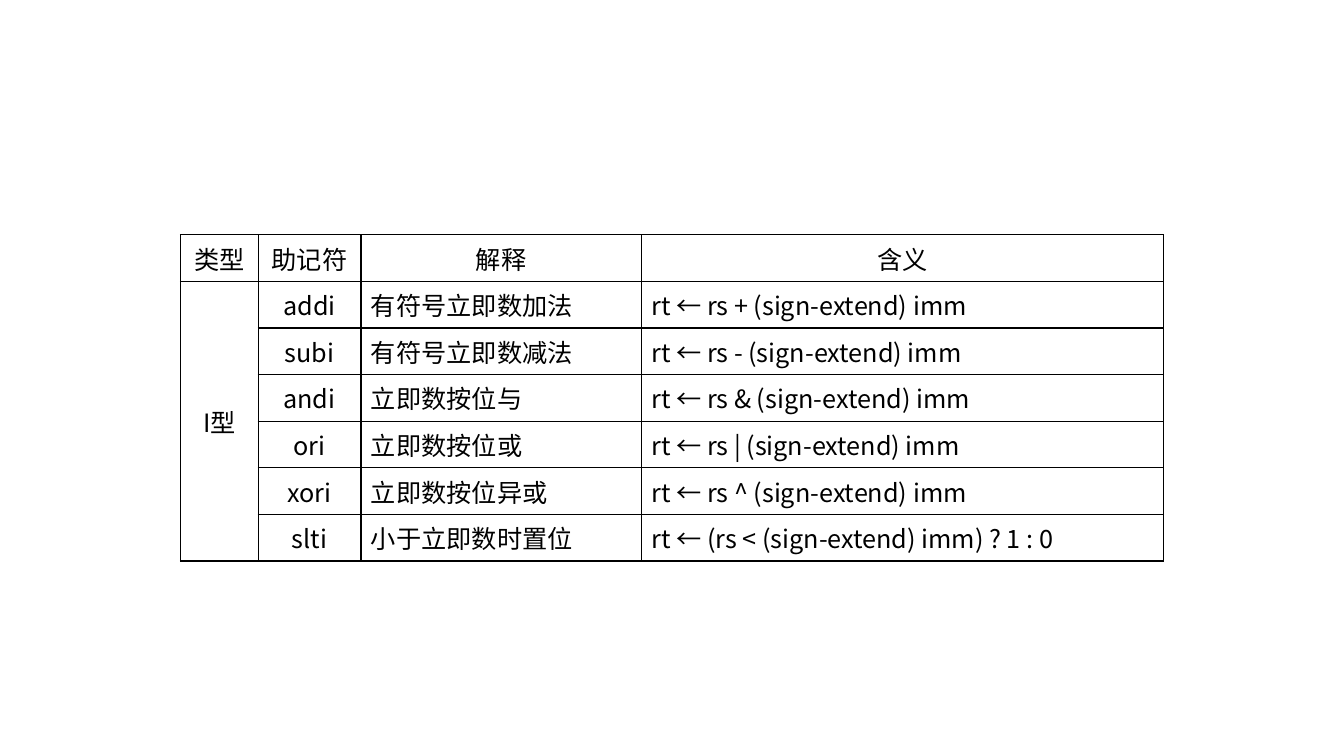
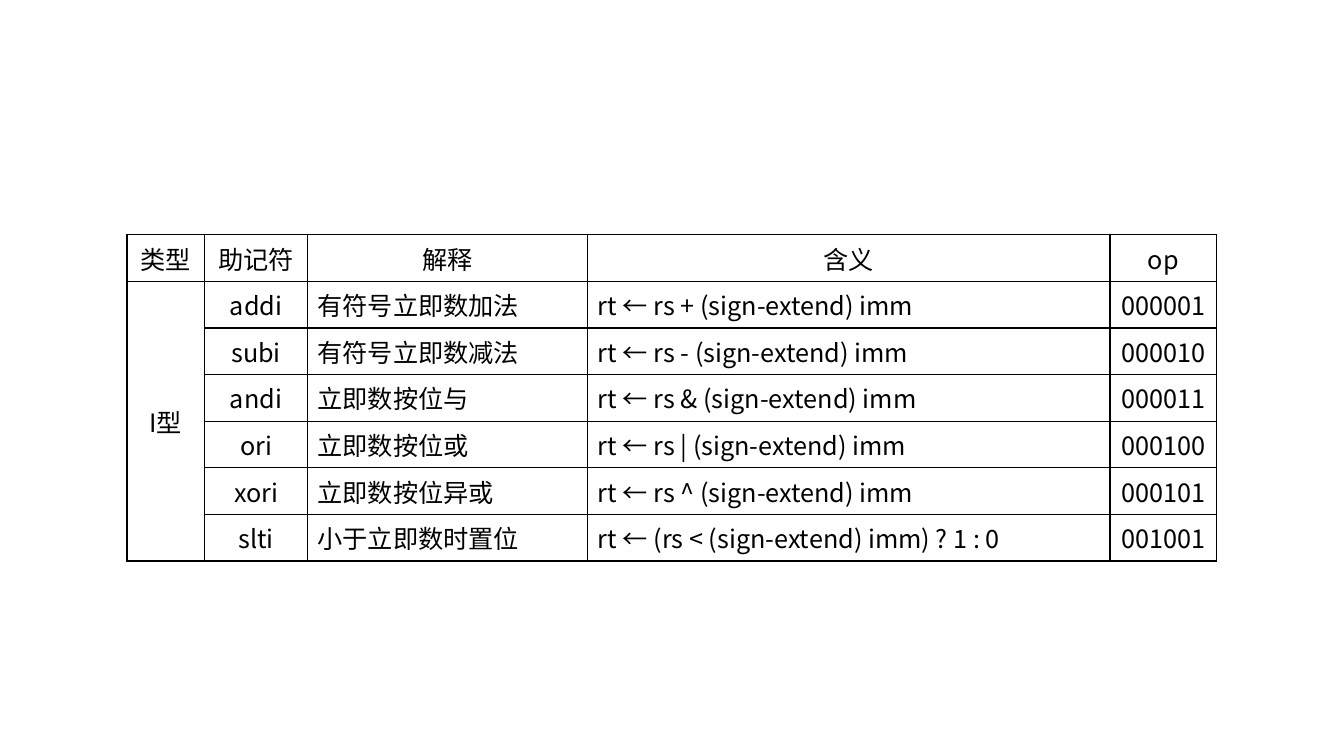
from pptx import Presentation
from pptx.dml.color import RGBColor
from pptx.enum.text import MSO_ANCHOR, PP_ALIGN
from pptx.oxml.ns import qn
from pptx.util import Inches, Pt
from lxml.etree import SubElement

SLIDE_WIDTH, SLIDE_HEIGHT = 13.33, 7.5
FONT = "Noto Sans CJK SC"
FONT_SIZE = 18
INK = "000000"
BORDER_WIDTH = 1
TABLE_TOP = 2.33
ROW_HEIGHT = 0.41

# heading, width, centred body, middle-anchored body
COLUMNS = [
    ("类型", 0.77, True, True),
    ("助记符", 1.02, True, False),
    ("解释", 2.78, False, False),
    ("含义", 5.18, False, False),
    ("op", 1.06, True, True),
]
INSTRUCTION_TYPE = "I型"
INSTRUCTIONS = [
    ("addi", "有符号立即数加法", "rt ← rs + (sign-extend) imm", "000001"),
    ("subi", "有符号立即数减法", "rt ← rs - (sign-extend) imm", "000010"),
    ("andi", "立即数按位与", "rt ← rs & (sign-extend) imm", "000011"),
    ("ori", "立即数按位或", "rt ← rs | (sign-extend) imm", "000100"),
    ("xori", "立即数按位异或", "rt ← rs ^ (sign-extend) imm", "000101"),
    ("slti", "小于立即数时置位", "rt ← (rs < (sign-extend) imm) ? 1 : 0", "001001"),
]


def color(hex_string):
    return RGBColor.from_string(hex_string)


def add_borders(cell):
    properties = cell._tc.get_or_add_tcPr()
    for index, side in enumerate(("a:lnL", "a:lnR", "a:lnT", "a:lnB")):
        line = properties.makeelement(qn(side), {"w": str(Pt(BORDER_WIDTH))})
        SubElement(SubElement(line, qn("a:solidFill")), qn("a:srgbClr"), val=INK)
        properties.insert(index, line)  # borders must precede the cell fill


def write_cell(cell, text, centred, middle):
    cell.text = text
    cell.vertical_anchor = MSO_ANCHOR.MIDDLE if middle else MSO_ANCHOR.TOP
    paragraph = cell.text_frame.paragraphs[0]
    paragraph.alignment = PP_ALIGN.CENTER if centred else PP_ALIGN.LEFT
    font = paragraph.font
    font.name = FONT
    font.size = Pt(FONT_SIZE)
    font.bold = False
    font.color.rgb = color(INK)
    SubElement(font._element, qn("a:ea"), typeface=FONT)


def add_instruction_table(slide, columns, top):
    """Place the table at the given top, centred across the slide."""
    width = sum(column[1] for column in columns)
    row_count = len(INSTRUCTIONS) + 1
    table = slide.shapes.add_table(
        row_count, len(columns),
        Inches((SLIDE_WIDTH - width) / 2), Inches(top),
        Inches(width), Inches(ROW_HEIGHT * row_count),
    ).table
    table.first_row = table.horz_banding = False
    for row in table.rows:
        row.height = Inches(ROW_HEIGHT)
    for cell in table.iter_cells():
        cell.fill.background()
        add_borders(cell)
    table.cell(1, 0).merge(table.cell(row_count - 1, 0))

    for index, (heading, column_width, centred, middle) in enumerate(columns):
        table.columns[index].width = Inches(column_width)
        write_cell(table.cell(0, index), heading, True, True)
        if index == 0:
            write_cell(table.cell(1, 0), INSTRUCTION_TYPE, centred, middle)
            continue
        for row_index, instruction in enumerate(INSTRUCTIONS, start=1):
            write_cell(table.cell(row_index, index), instruction[index - 1],
                       centred, middle)


def main():
    deck = Presentation()
    deck.slide_width = Inches(SLIDE_WIDTH)
    deck.slide_height = Inches(SLIDE_HEIGHT)
    blank_layout = deck.slide_layouts[6]
    for columns in (COLUMNS[:-1], COLUMNS):
        add_instruction_table(deck.slides.add_slide(blank_layout), columns, TABLE_TOP)
    deck.save("out.pptx")


if __name__ == "__main__":
    main()
